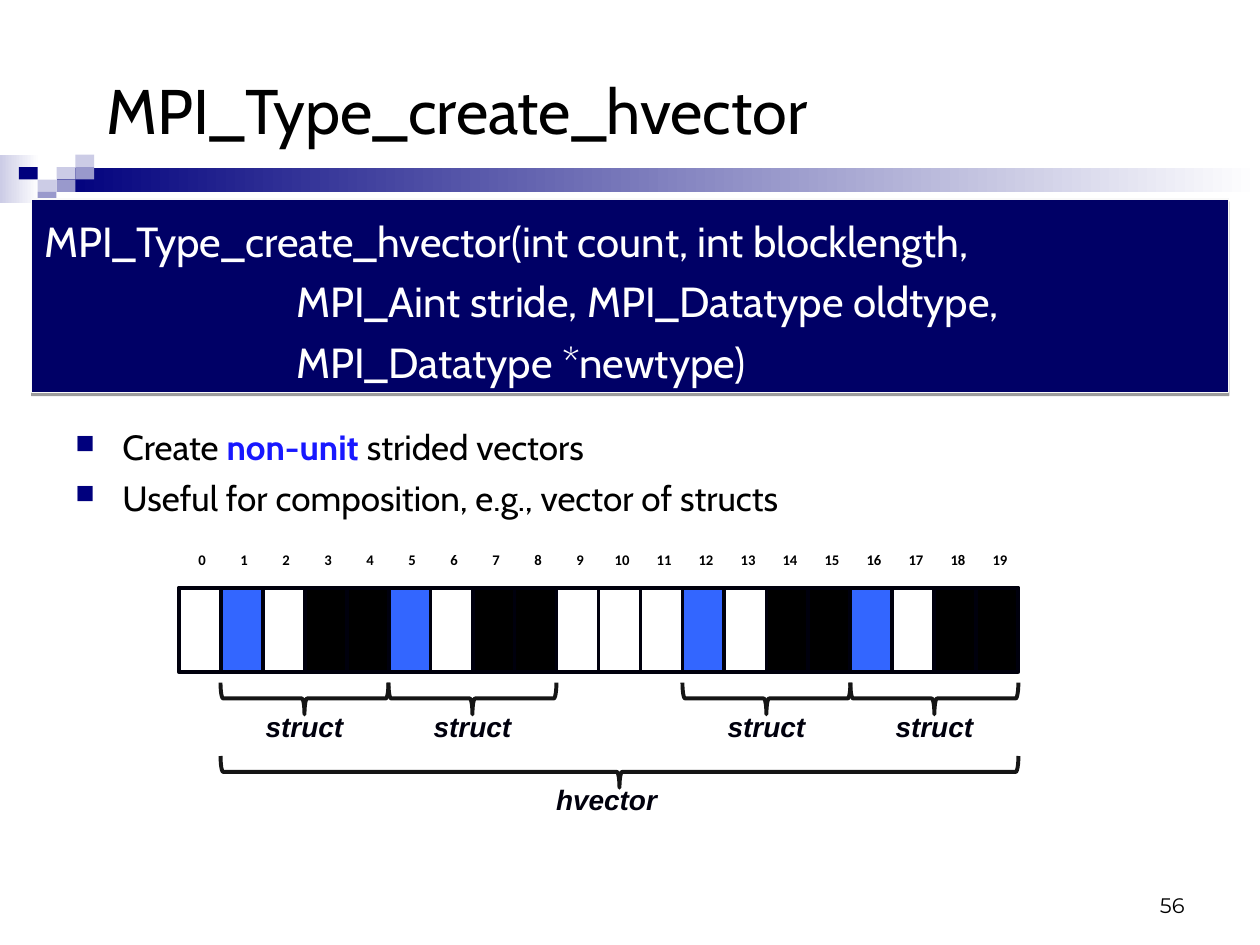
from lxml import etree
from pptx import Presentation
from pptx import util as u
from pptx.dml.color import RGBColor
from pptx.enum import shapes, text
from pptx.oxml import ns

NAVY, PALE, MID, WHITE, BLACK, INK = "00007D", "CCCCE6", "9999CC", "FFFFFF", "000000", "00000D"
BLUE = "3366FF"
KIND, ALIGN, ANCHOR = shapes.MSO_SHAPE, text.PP_ALIGN, text.MSO_ANCHOR

# Content
TITLE = "MPI_Type_create_hvector"
CALL = [  # indent in cm, line
    (0, "MPI_Type_create_hvector(int count, int blocklength,"),
    (5.08, "MPI_Aint stride, MPI_Datatype oldtype,"),
    (5.08, "MPI_Datatype *newtype)"),
]
POINTS = [
    [("Create ", {}), ("non-unit ", {"bold": True, "color": "1818FF"}), ("strided vectors", {})],
    [("Useful for composition, e.g., vector of structs", {})],
]
PAGE = "56"
CELLS = ".b.##b.##...b.##b.##"  # one sign per memory cell
FILLS = {".": None, "b": BLUE, "#": BLACK}
STRUCTS = [1, 5, 12, 16]  # first cell of each struct
SPAN = 4
BANDS = [(0, 3.12, 0.79, 0.97, PALE), (1.14, 3.38, 24.26, 0.5, NAVY)]
TILES = [(2, 1, PALE), (3, 0, PALE), (3, 1, MID), (1, 2, PALE),
         (0, 1, NAVY), (2, 2, MID), (1, 3, MID)]  # column, row, colour

# Formats
HEAD = {"name": "Cabin", "size": 36, "color": BLACK}
CODE = {"name": "Cabin", "size": 24, "color": WHITE}
BODY = {"name": "Cabin", "size": 20, "color": BLACK}
FOOT = {"name": "Montserrat", "size": 12, "color": BLACK}
INDEX = {"name": "Calibri", "size": 8.4, "color": BLACK, "bold": True}
NOTE = {"name": "Arial", "size": 16, "color": INK, "bold": True, "italic": True}

# Grid of memory cells, in cm
LEFT, TOP, TALL = 3.6, 11.85, 1.69
STEP = 16.93 / len(CELLS)

deck = Presentation()
deck.slide_width, deck.slide_height = u.Cm(25.4), u.Cm(19.05)
slide = deck.slides.add_slide(deck.slide_layouts[6])


def rgb(code):
    return RGBColor.from_string(code)


def style(font, form):
    for key, val in form.items():
        if key == "color":
            font.color.rgb = rgb(val)
        else:
            setattr(font, key, u.Pt(val) if key == "size" else val)


def node(home, tag, **attrs):
    return etree.SubElement(home, ns.qn(tag), attrs)


def write(par, words, form, **props):
    for key, val in props.items():
        setattr(par, key, val)
    run = par.add_run()
    run.text = words
    style(run.font, form)


def shape(kind, x, y, wide, high, fill=None, line=None, width=2.25):
    item = slide.shapes.add_shape(kind, u.Cm(x), u.Cm(y), u.Cm(wide), u.Cm(high))
    item.shadow.inherit = False
    if fill:
        item.fill.solid()
        item.fill.fore_color.rgb = rgb(fill)
    else:
        item.fill.background()
    if line:
        item.line.color.rgb = rgb(line)
        item.line.width = u.Pt(width)
    else:
        item.line.fill.background()
    return item


def box(x, y, wide, high, anchor=ANCHOR.TOP):
    frame = slide.shapes.add_textbox(u.Cm(x), u.Cm(y), u.Cm(wide), u.Cm(high)).text_frame
    frame.word_wrap = True
    frame.vertical_anchor = anchor
    return frame


def brace(start, count, y):
    """Brace below a run of cells, pointing down."""
    wide, deep = count * STEP, 0.64
    mid = LEFT + start * STEP + wide / 2
    item = shape(KIND.LEFT_BRACE, mid - deep / 2, y + deep / 2 - wide / 2,
                 deep, wide, line="151515")
    item.rotation = 270
    return mid


def banner():
    for x, y, wide, high, tint in BANDS:
        fill = shape(KIND.RECTANGLE, x, y, wide, high).fill
        fill.gradient()
        fill.gradient_angle = 0
        for stop, code in zip(fill.gradient_stops, (tint, WHITE)):
            stop.color.rgb = rgb(code)
    for col, row, tint in TILES:
        shape(KIND.RECTANGLE, 0.38 * (col + 1), 3.12 + 0.25 * row, 0.38, 0.25, tint)
    frame = box(1.9, 1.07, 21.39, 2.26, ANCHOR.MIDDLE)
    write(frame.paragraphs[0], TITLE, HEAD)


def points():
    frame = box(1.27, 8.46, 22.86, 3.18)
    for num, runs in enumerate(POINTS):
        par = frame.add_paragraph() if num else frame.paragraphs[0]
        if num:
            par.space_before = u.Pt(5)
        props = par._p.get_or_add_pPr()
        props.set("marL", str(u.Cm(0.95)))
        props.set("indent", str(u.Cm(-0.95)))
        node(node(props, "a:buClr"), "a:srgbClr", val=NAVY)
        node(props, "a:buSzPct", val="75000")
        node(props, "a:buChar", char="■")
        for words, form in runs:
            write(par, words, BODY | form)


def call():
    item = shape(KIND.RECTANGLE, 0.64, 4.01, 24.13, 3.91, "000066", "F9F9F9", 0.75)
    effects = item._element.spPr.find(ns.qn("a:effectLst"))
    shade = node(effects, "a:outerShdw", dist=str(u.Pt(1.6)), dir="5400000", rotWithShape="0")
    node(node(shade, "a:srgbClr", val=BLACK), "a:alpha", val="38000")
    frame = item.text_frame
    frame.vertical_anchor = ANCHOR.TOP
    for num, (indent, line) in enumerate(CALL):
        par = frame.add_paragraph() if num else frame.paragraphs[0]
        par._p.get_or_add_pPr().set("marL", str(u.Cm(indent)))
        write(par, line, CODE, line_spacing=1.2, alignment=ALIGN.LEFT)


def memory():
    for num, sign in enumerate(CELLS):
        x = LEFT + num * STEP
        shape(KIND.RECTANGLE, x, TOP, STEP, TALL, FILLS[sign], INK)
        frame = shape(KIND.RECTANGLE, x, 11, 0.95, 0.64, line=WHITE).text_frame
        frame.word_wrap = False
        frame.vertical_anchor = ANCHOR.MIDDLE
        write(frame.paragraphs[0], str(num), INDEX, line_spacing=0.8, alignment=ALIGN.CENTER)


def note(words, mid, y, wide):
    frame = box(mid - wide / 2, y, wide, 0.94)
    frame.word_wrap = False
    write(frame.paragraphs[0], words, NOTE, alignment=ALIGN.CENTER)


def groups():
    for start in STRUCTS:
        note("struct", brace(start, SPAN, 13.76), 14.18, 2.12)
    first = STRUCTS[0]
    mid = brace(first, len(CELLS) - first, 15.24)
    note("hvector", mid - 0.26, 15.66, 2.65)


banner()
points()
call()
write(box(18.2, 17.36, 5.93, 1.27, ANCHOR.BOTTOM).paragraphs[0], PAGE, FOOT, alignment=ALIGN.RIGHT)
memory()
groups()
deck.save("out.pptx")
